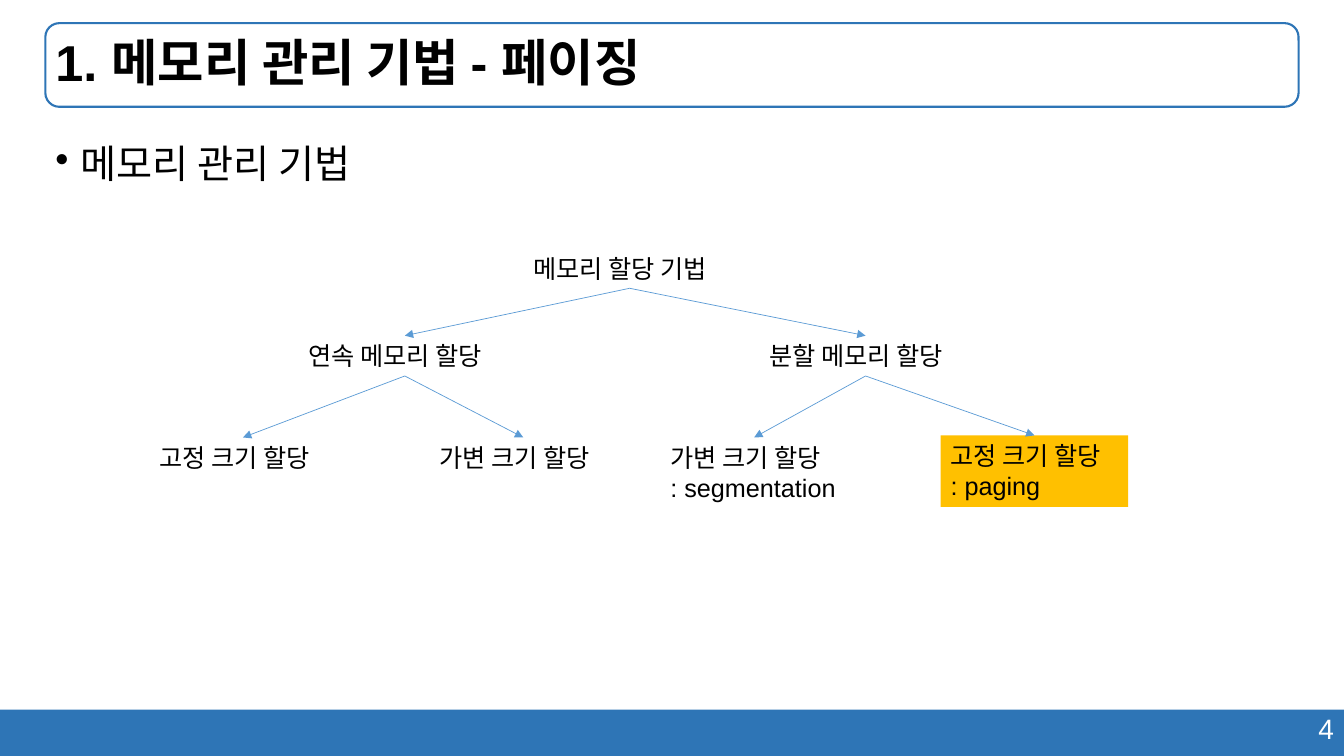
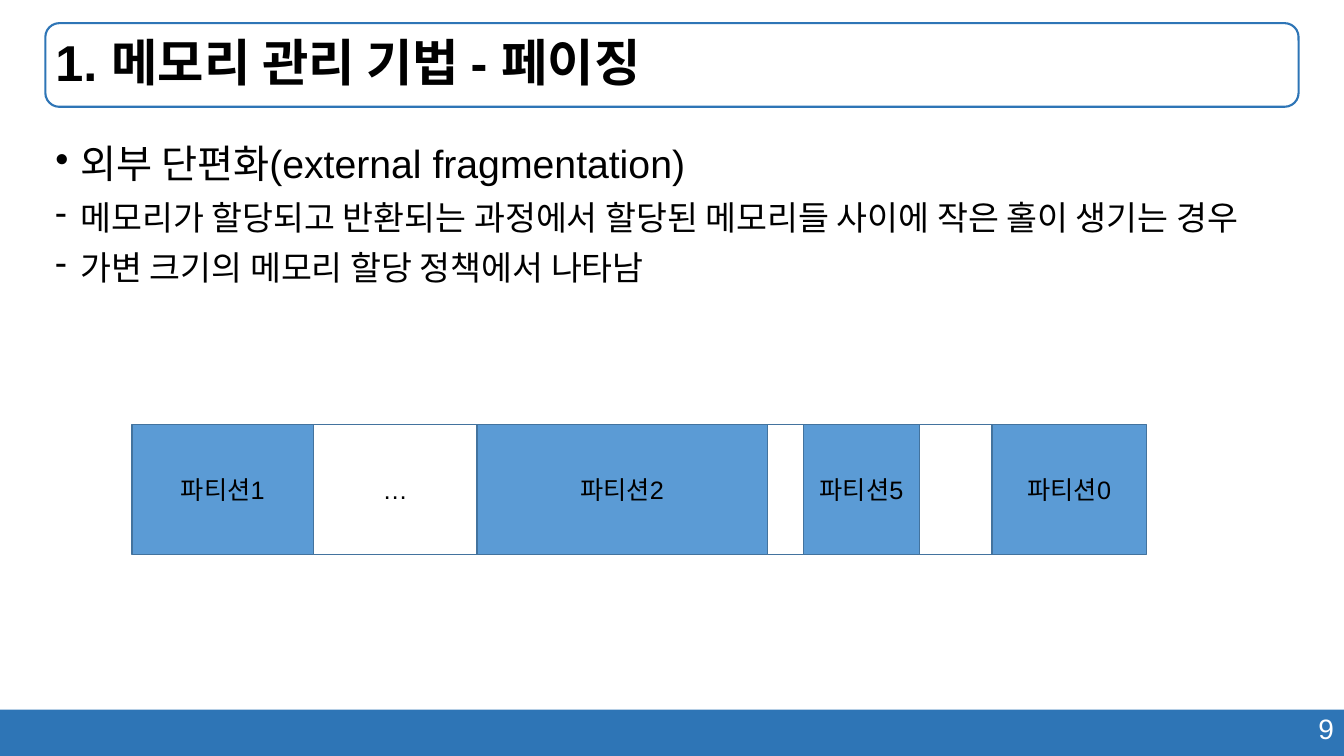
import pptx
import pptx.util
import pptx.dml.color
import pptx.enum.shapes
import pptx.enum.text
import pptx.oxml
import pptx.oxml.ns
from dataclasses import dataclass

Inches = pptx.util.Inches
Pt = pptx.util.Pt
Shapes = pptx.enum.shapes.MSO_SHAPE
Align = pptx.enum.text.PP_ALIGN
Anchor = pptx.enum.text.MSO_ANCHOR


@dataclass(frozen=True)
class Theme:
    font: str = "Arial"
    text: str = "000000"
    light: str = "FFFFFF"
    accent: str = "2E75B6"
    block: str = "5B9BD5"
    block_edge: str = "43739E"
    highlight: str = "FFC000"
    title_size: int = 36
    heading_size: int = 28
    detail_size: int = 24
    number_size: int = 20
    label_size: int = 18


THEME = Theme()
SLIDE_WIDTH, SLIDE_HEIGHT = 13.33, 7.5
TITLE = "1. 메모리 관리 기법 - 페이징"
TITLE_BOX = (0.45, 0.23, 12.43, 0.83)
BODY_BOX = (0.45, 1.39, 12.43, 5.53)


def color(value):
    return pptx.dml.color.RGBColor.from_string(value)


def inches(box):
    return [Inches(value) for value in box]


def style(paragraph, size, text_color=THEME.text, bold=False, align=Align.LEFT):
    paragraph.alignment = align
    paragraph.font.name = THEME.font
    paragraph.font.size = Pt(size)
    paragraph.font.bold = bold
    paragraph.font.color.rgb = color(text_color)


def add_box(slide, box, fill=None, line=None, line_width=1, preset=Shapes.RECTANGLE):
    shape = slide.shapes.add_shape(preset, *inches(box))
    shape.shadow.inherit = False
    if fill:
        shape.fill.solid()
        shape.fill.fore_color.rgb = color(fill)
    else:
        shape.fill.background()
    if line:
        shape.line.color.rgb = color(line)
        shape.line.width = Pt(line_width)
    else:
        shape.line.fill.background()
    return shape


def write_lines(shape, lines, size, anchor=Anchor.TOP, **look):
    frame = shape.text_frame
    frame.word_wrap = True
    frame.vertical_anchor = anchor
    frame.text = "\n".join(lines)
    for paragraph in frame.paragraphs:
        style(paragraph, size, **look)
    return frame


def add_arrow(slide, parent, child):
    """Join the bottom of one box to the top of another."""
    connector = slide.shapes.add_connector(
        pptx.enum.shapes.MSO_CONNECTOR.STRAIGHT, 0, 0, 0, 0)
    connector.begin_connect(parent, 2)
    connector.end_connect(child, 0)
    connector.line.color.rgb = color(THEME.block)
    connector.line.width = Pt(0.5)
    head = pptx.oxml.parse_xml(
        f'<a:tailEnd {pptx.oxml.ns.nsdecls("a")} type="triangle"/>')
    connector.line._get_or_add_ln().append(head)
    properties = connector._element.spPr
    properties.append(properties.makeelement(pptx.oxml.ns.qn("a:effectLst"), {}))


def add_base_slide(presentation, number):
    """Title frame, title, bottom band and page number."""
    slide = presentation.slides.add_slide(presentation.slide_layouts[5])

    # Bottom band
    add_box(slide, (0, 7.04, SLIDE_WIDTH, 0.46), fill=THEME.accent)
    page_number = slide.shapes.add_textbox(*inches((9.43, 7.01, 3.9, 0.44)))
    write_lines(page_number, [str(number)], THEME.number_size,
                text_color=THEME.light, align=Align.RIGHT)

    # Title
    add_box(slide, TITLE_BOX, line=THEME.accent, line_width=1.5,
            preset=Shapes.ROUNDED_RECTANGLE)
    title = slide.shapes.title
    title.left, title.top, title.width, title.height = inches(TITLE_BOX)
    frame = write_lines(title, [TITLE], THEME.title_size, Anchor.MIDDLE, bold=True)
    frame.auto_size = pptx.enum.text.MSO_AUTO_SIZE.NONE
    frame.paragraphs[0].line_spacing = 0.9
    return slide


def add_bullets(slide, box, items):
    """Write (mark, text, size) items with a hanging indent."""
    frame = slide.shapes.add_textbox(*inches(box)).text_frame
    frame.word_wrap = True
    for index, (mark, text, size) in enumerate(items):
        paragraph = frame.add_paragraph() if index else frame.paragraphs[0]
        paragraph.text = text
        properties = paragraph._p.get_or_add_pPr()
        properties.set("marL", str(Inches(0.25)))
        properties.set("indent", str(-Inches(0.25)))
        properties.append(properties.makeelement(
            pptx.oxml.ns.qn("a:buChar"), {"char": mark}))
        paragraph.line_spacing = 0.9
        if index:
            paragraph.space_before = Pt(10)
        style(paragraph, size)


def add_tree(slide, left, top, nodes):
    """Place nodes of (parent, x, y, width, lines, fill) and join them."""
    boxes = {}
    for name, (parent, x, y, width, lines, fill) in nodes.items():
        height = 0.4 if len(lines) == 1 else 0.71
        box = add_box(slide, (left + x, top + y, width, height), fill)
        frame = write_lines(box, lines, THEME.label_size)
        frame.margin_right = 0
        boxes[name] = box
        if parent:
            add_arrow(slide, boxes[parent], box)


def add_memory_bar(slide, box, cells):
    """Fill a bar from left to right with (width, label, is used) cells."""
    left, top, width, height = box
    scale = width / sum(cell[0] for cell in cells)
    for share, label, used in cells:
        cell_width = share * scale
        cell = add_box(slide, (left, top, cell_width, height),
                       THEME.block if used else THEME.light, THEME.block_edge)
        if label:
            frame = write_lines(cell, [label], THEME.label_size, Anchor.MIDDLE,
                                align=Align.CENTER)
            frame.margin_left = frame.margin_right = 0
        left += cell_width


def build_technique_slide(presentation):
    slide = add_base_slide(presentation, 4)
    add_bullets(slide, BODY_BOX, [("•", "메모리 관리 기법", THEME.heading_size)])
    add_tree(slide, 1.48, 2.46, {
        "root": (None, 3.71, 0, 2.11, ["메모리 할당 기법"], None),
        "contiguous": ("root", 1.48, 0.87, 2.11, ["연속 메모리 할당"], None),
        "divided": ("root", 6.05, 0.87, 2.11, ["분할 메모리 할당"], None),
        "fixed": ("contiguous", 0, 1.88, 1.86, ["고정 크기 할당"], None),
        "variable": ("contiguous", 2.78, 1.88, 1.86, ["가변 크기 할당"], None),
        "segmentation": ("divided", 5.07, 1.88, 1.86,
                         ["가변 크기 할당", ": segmentation"], None),
        "paging": ("divided", 7.85, 1.86, 1.86,
                   ["고정 크기 할당", ": paging"], THEME.highlight),
    })


def build_fragmentation_slide(presentation):
    slide = add_base_slide(presentation, 9)
    add_bullets(slide, BODY_BOX, [
        ("•", "외부 단편화(external fragmentation)", THEME.heading_size),
        ("-", "메모리가 할당되고 반환되는 과정에서 할당된 메모리들 사이에 작은 홀이 생기는 경우",
         THEME.detail_size),
        ("-", "가변 크기의 메모리 할당 정책에서 나타남", THEME.detail_size),
    ])
    add_memory_bar(slide, (1.31, 4.21, 10.06, 1.29), [
        (1.8, "파티션1", True),
        (1.62, "…", False),
        (2.88, "파티션2", True),
        (0.36, "", False),
        (1.15, "파티션5", True),
        (0.72, "", False),
        (1.53, "파티션0", True),
    ])


def main():
    presentation = pptx.Presentation()
    presentation.slide_width = Inches(SLIDE_WIDTH)
    presentation.slide_height = Inches(SLIDE_HEIGHT)
    build_technique_slide(presentation)
    build_fragmentation_slide(presentation)
    presentation.save("out.pptx")


if __name__ == "__main__":
    main()
